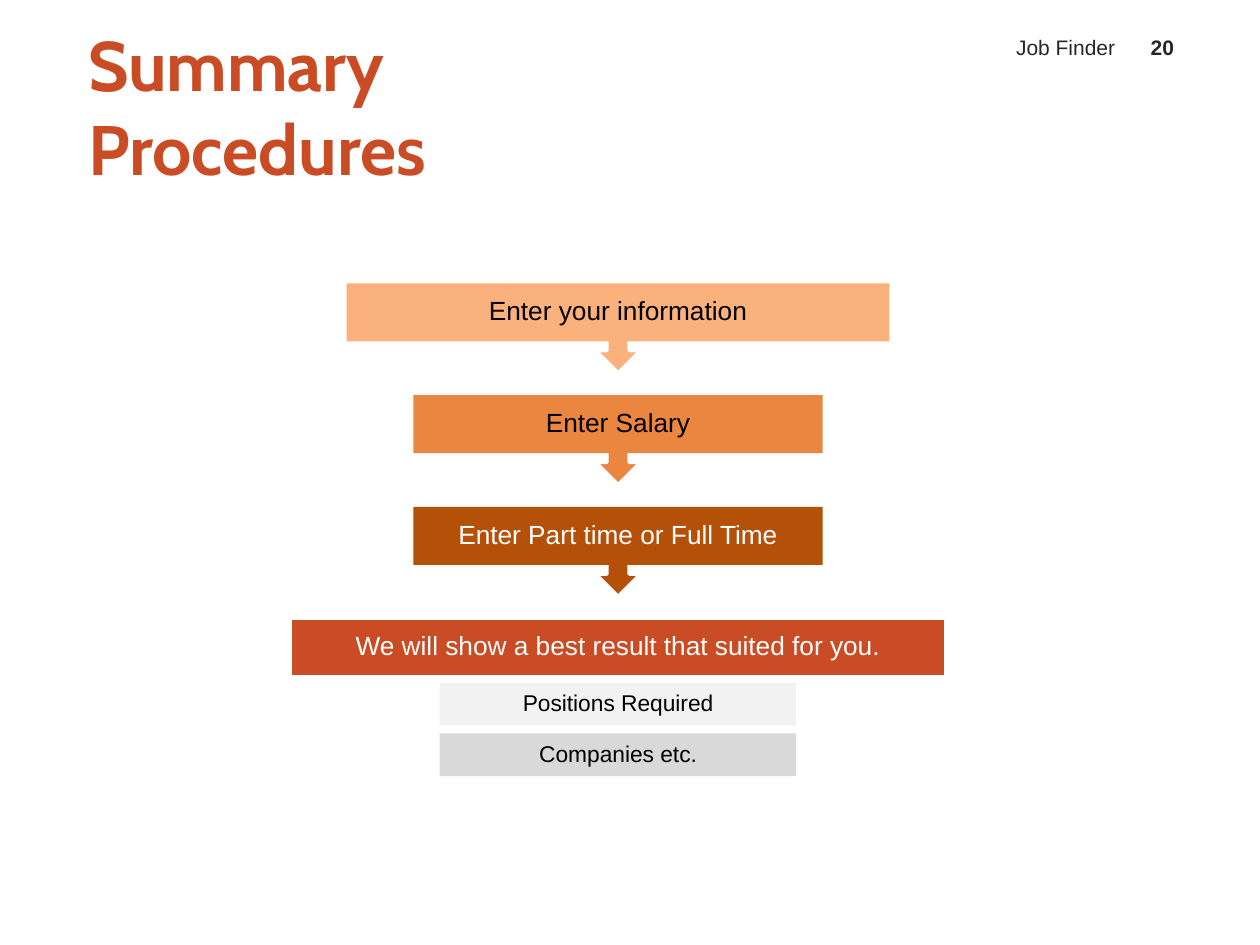
from pptx import Presentation
from pptx.dml.color import RGBColor
from pptx.enum.shapes import MSO_SHAPE as Shape
from pptx.enum.text import MSO_ANCHOR as Anchor, PP_ALIGN as Align
from pptx.util import Inches, Pt

# Content
TITLE = "Summary Procedures"
HEADER = [  # text, left, width, alignment, bold
    ("Job Finder", 6.25, 2.7, Align.RIGHT, False),
    ("20", 8.95, 0.55, Align.CENTER, True),
]
STEPS = [  # text, width, fill, text colour
    ("Enter your information", 4.31, "FAB17B", "000000"),
    ("Enter Salary", 3.25, "EA8640", "000000"),
    ("Enter Part time or Full Time", 3.25, "B45007", "FFFFFF"),
]
RESULT = "We will show a best result that suited for you."
DETAILS = [("Positions Required", "F2F2F2"), ("Companies etc.", "D9D9D9")]
ACCENT, WHITE = "C94C25", "FFFFFF"

# Flow geometry in inches
CENTER = 4.905
FLOW_TOP, STEP_PITCH = 2.25, 0.887
BAR_HEIGHT, CALLOUT_HEIGHT = 0.46, 0.71
DETAIL_TOP, DETAIL_PITCH, DETAIL_WIDTH, DETAIL_HEIGHT = 5.42, 0.4, 2.83, 0.34

prs = Presentation()
prs.slide_width, prs.slide_height = Inches(10), Inches(7.5)
slide = prs.slides.add_slide(prs.slide_layouts[5])


def color(hex_string):
    return RGBColor.from_string(hex_string)


def write(owner, text, size, text_color, font="Arial", bold=False,
          align=Align.CENTER, anchor=Anchor.MIDDLE, insets=(0.1, 0.05)):
    frame = owner.text_frame
    frame.text = text
    frame.word_wrap = True
    frame.vertical_anchor = anchor
    frame.margin_left = frame.margin_right = Inches(insets[0])
    frame.margin_top = frame.margin_bottom = Inches(insets[1])
    paragraph = frame.paragraphs[0]
    paragraph.alignment = align
    style = paragraph.runs[0].font
    style.name, style.size, style.bold = font, Pt(size), bold
    style.color.rgb = color(text_color)
    return paragraph


def add_block(kind, top, width, height, fill, outlined=False):
    block = slide.shapes.add_shape(kind, Inches(CENTER - width / 2), Inches(top),
                                   Inches(width), Inches(height))
    block.shadow.inherit = False
    block.fill.solid()
    block.fill.fore_color.rgb = color(fill)
    if outlined:
        block.line.color.rgb = color(WHITE)
        block.line.width = Pt(2)
    else:
        block.line.fill.background()
    return block


def add_label(text, top, width, height, fill, text_color, size=15, inset=0.12):
    label = add_block(Shape.RECTANGLE, top, width, height, fill)
    write(label, text, size, text_color, insets=(inset, inset)).line_spacing = 0.9


# Title
title = slide.shapes.title
title.left, title.top = Inches(0.5), Inches(0.4)
title.width, title.height = Inches(5.33), Inches(0.87)
heading = write(title, TITLE, 40, ACCENT, "Cabin", True, Align.LEFT, insets=(0, 0.05))
indent = heading._p.get_or_add_pPr()
indent.set("marL", str(Inches(0.2)))
indent.set("indent", "0")

# Running header and page number
for text, left, width, align, bold in HEADER:
    box = slide.shapes.add_textbox(Inches(left), Inches(0.19), Inches(width), Inches(0.33))
    write(box, text, 12, "262626", bold=bold, align=align, anchor=Anchor.BOTTOM)

# Steps, each with an arrow pointing to the next
for row, (text, width, fill, text_color) in enumerate(STEPS):
    top = FLOW_TOP + row * STEP_PITCH
    callout = add_block(Shape.UP_ARROW_CALLOUT, top, width, CALLOUT_HEIGHT, fill, outlined=True)
    callout.rotation = 180
    add_label(text, top, width, BAR_HEIGHT, fill, text_color)

# Result bar
result_top = FLOW_TOP + len(STEPS) * STEP_PITCH
add_block(Shape.RECTANGLE, result_top, 5.2, BAR_HEIGHT, ACCENT, outlined=True)
add_label(RESULT, result_top + 0.1, 5, 0.25, ACCENT, WHITE)

# Result details
for row, (text, fill) in enumerate(DETAILS):
    add_label(text, DETAIL_TOP + row * DETAIL_PITCH, DETAIL_WIDTH, DETAIL_HEIGHT,
              fill, "000000", size=13, inset=0.1)

prs.save("out.pptx")
